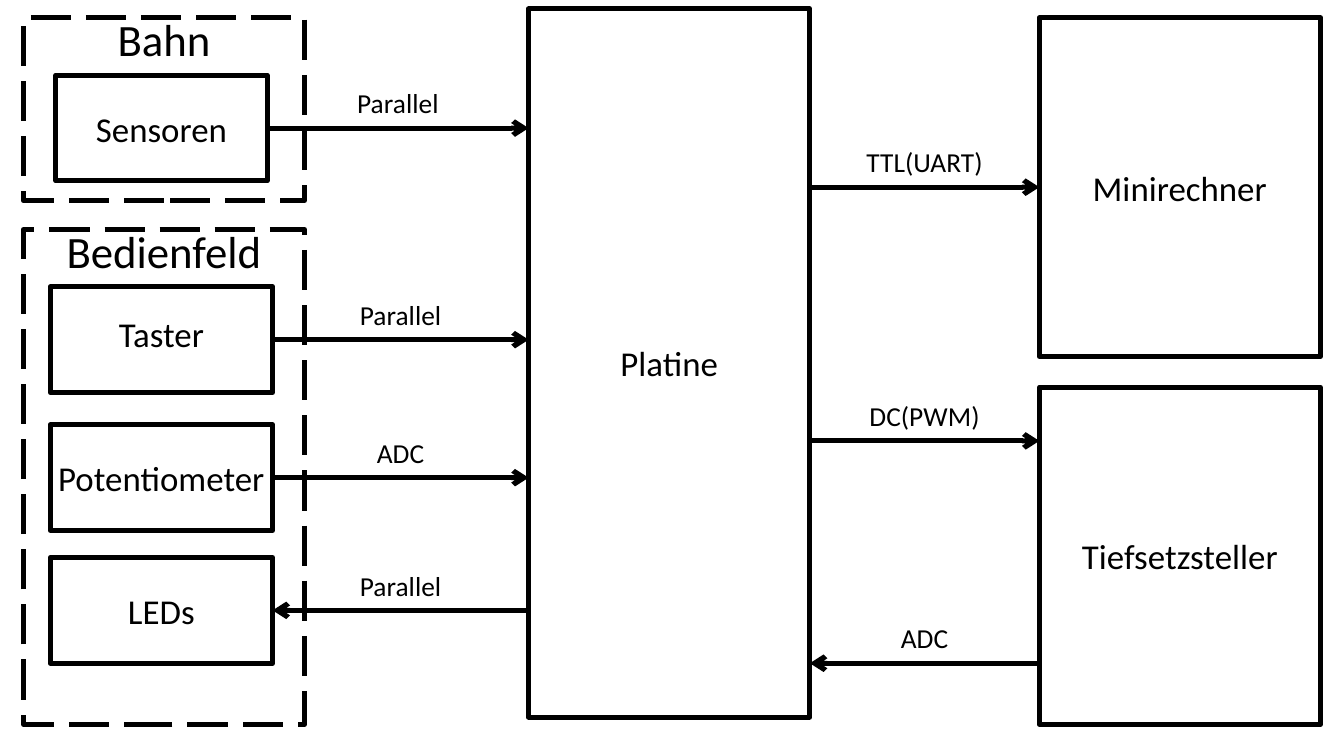
from lxml.etree import SubElement
from pptx import Presentation
from pptx.dml.color import RGBColor
from pptx.enum.dml import MSO_LINE as Dash
from pptx.enum.shapes import MSO_CONNECTOR as Connector, MSO_SHAPE as Preset
from pptx.enum.text import MSO_ANCHOR as Anchor, PP_ALIGN as Align
from pptx.oxml.ns import qn
from pptx.util import Pt

BLACK = "000000"
GROUP_W, INNER_H = 113, 42.5
CONTROLLER_LEFT, CONTROLLER_RIGHT = 212.4, 325.4
DEVICE_X = 417.6


def color(hex_string):
    return RGBColor.from_string(hex_string)


def write(frame, text, size=14, anchor=Anchor.MIDDLE, bottom=0):
    frame.word_wrap = True
    frame.vertical_anchor = anchor
    frame.margin_left = frame.margin_right = frame.margin_top = 0
    frame.margin_bottom = Pt(bottom)
    paragraph = frame.paragraphs[0]
    paragraph.alignment = Align.CENTER
    run = paragraph.add_run()
    run.text = text
    run.font.name = "Calibri"
    run.font.size = Pt(size)
    run.font.color.rgb = color(BLACK)


def label(text, x, y, w, h, **style):
    caption = slide.shapes.add_textbox(Pt(x), Pt(y), Pt(w), Pt(h))
    write(caption.text_frame, text, **style)


def outline(line):
    line.color.rgb = color(BLACK)
    line.width = Pt(2)


def box(x, y, w, h, text=None, dashed=False, **style):
    frame = slide.shapes.add_shape(Preset.RECTANGLE, Pt(x), Pt(y), Pt(w), Pt(h))
    frame.shadow.inherit = False
    frame.fill.background()
    outline(frame.line)
    if dashed:
        frame.line.dash_style = Dash.LONG_DASH
    if text:
        write(frame.text_frame, text, **style)


def signal(text, start, end, y):
    arrow = slide.shapes.add_connector(
        Connector.STRAIGHT, Pt(start), Pt(y), Pt(end), Pt(y))
    outline(arrow.line)
    SubElement(arrow.line._ln, qn("a:tailEnd"), type="arrow")
    SubElement(arrow._element.spPr, qn("a:effectLst"))
    label(text, (start + end) / 2 - 34, y - 21, 68, 21,
          size=11, anchor=Anchor.BOTTOM, bottom=3.6)


def panel(title, x, y, h, inner_w, parts):
    box(x, y, GROUP_W, h, dashed=True)
    label(title, x, y - 2.5, GROUP_W, 22, size=18, anchor=Anchor.TOP)
    inner_x = x + (GROUP_W - inner_w) / 2 - 1
    for name, offset, protocol, to_controller, lift in parts:
        box(inner_x, y + offset, inner_w, INNER_H, name, bottom=lift)
        ends = [inner_x + inner_w, CONTROLLER_LEFT]
        signal(protocol, *(ends if to_controller else ends[::-1]),
               y + offset + INNER_H / 2)


def device(name, y, h, signals):
    box(DEVICE_X, y, GROUP_W, h, name)
    for protocol, offset, to_device in signals:
        ends = [CONTROLLER_RIGHT, DEVICE_X]
        signal(protocol, *(ends if to_device else ends[::-1]), y + offset)


deck = Presentation()
deck.slide_width, deck.slide_height = Pt(540), Pt(298)
slide = deck.slides.add_slide(deck.slide_layouts[6])

box(CONTROLLER_LEFT, 3.6, CONTROLLER_RIGHT - CONTROLLER_LEFT, 284.4, "Platine")
panel("Bahn", 9.4, 7.2, 73.4, 85, [("Sensoren", 23, "Parallel", True, 0)])
panel("Bedienfeld", 9.4, 92.2, 198.7, 89.3, [
    ("Taster", 23, "Parallel", True, 5),
    ("Potentiometer", 78.4, "ADC", True, 0),
    ("LEDs", 131.7, "Parallel", False, 0),
])
device("Minirechner", 7.2, 136, [("TTL(UART)", 68, True)])
device("Tiefsetzsteller", 155.5, 135.4, [("DC(PWM)", 21.6, True), ("ADC", 110.9, False)])

deck.save("out.pptx")
